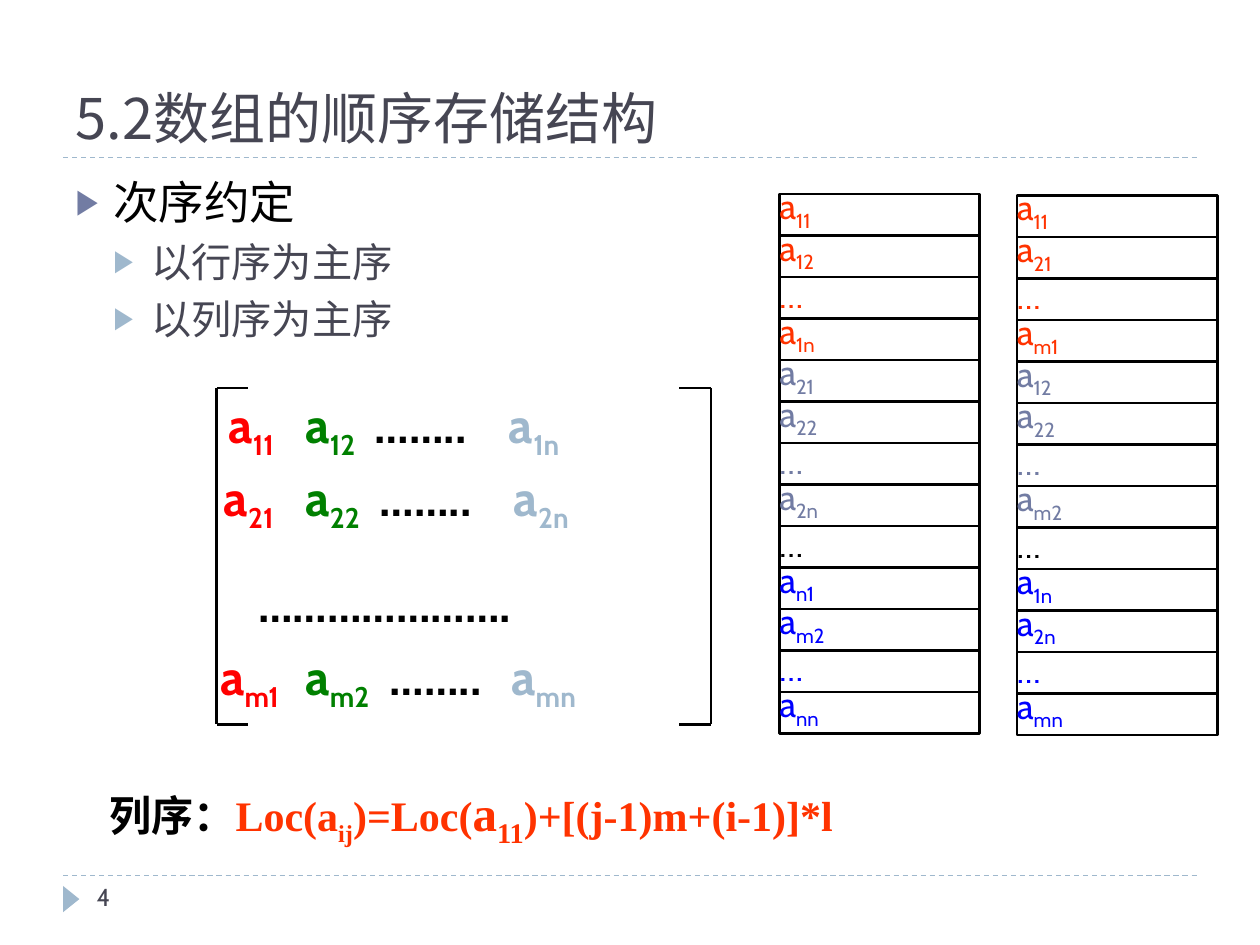
"""Build the slide on sequential storage of arrays."""
from dataclasses import dataclass
from typing import NamedTuple, Optional

from lxml import etree
from pptx import Presentation
from pptx.dml.color import RGBColor
from pptx.enum import dml, shapes, text
from pptx.oxml.ns import qn
from pptx.util import Cm, Pt


@dataclass(frozen=True)
class Theme:
    latin: str = "Cabin"
    chinese: str = "Noto Sans CJK SC"
    heading: str = "Noto Sans CJK JP"
    formula: str = "Times New Roman"
    black: str = "000000"
    white: str = "FFFFFF"
    slate: str = "464653"
    violet: str = "727CA3"
    pale: str = "9FB8CD"
    red: str = "FF0000"
    green: str = "008000"
    orange: str = "FF3300"
    blue: str = "0000FF"
    title_size: float = 32
    topic_size: float = 26
    item_size: float = 23
    matrix_size: float = 28
    formula_size: float = 24
    cell_size: float = 20
    number_size: float = 14


class Span(NamedTuple):
    text: str
    color: Optional[str] = None
    sub: bool = False
    size: Optional[float] = None
    font: Optional[str] = None


class Bullet(NamedTuple):
    text: str
    level: int
    size: float
    color: str
    marker: str
    before: float


class MatrixRow(NamedTuple):
    top: float
    stops: tuple
    spans: list


class Block(NamedTuple):
    color: str
    labels: tuple


class Column(NamedTuple):
    left: float
    top: float
    blocks: tuple


THEME = Theme()
DOTS = "…"


def rgb(color: str) -> RGBColor:
    """Turn a hex colour into an RGBColor."""
    return RGBColor.from_string(color)


def style(font, size: float, color: str, name: str = THEME.latin, bold: bool = False) -> None:
    """Set the common features of a font."""
    font.size, font.name, font.bold = Pt(size), name, bold
    font.color.rgb = rgb(color)


def set_east_asian(span, name: str) -> None:
    """Name the East Asian typeface of a run."""
    properties = span._r.get_or_add_rPr()
    etree.SubElement(properties, qn("a:ea"), typeface=name)


def write_spans(para, spans: list) -> None:
    """Add runs, some lowered as subscripts."""
    for item in spans:
        span = para.add_run()
        span.text = item.text
        if item.color:
            span.font.color.rgb = rgb(item.color)
        if item.size:
            span.font.size = Pt(item.size)
        if item.font:
            span.font.name = item.font
        if item.sub:
            span._r.get_or_add_rPr().set("baseline", "-25000")


def add_line(page, start: tuple, end: tuple, color: str, width: float, dashed: bool = False) -> None:
    """Draw a straight line without a shadow."""
    line = page.shapes.add_connector(
        shapes.MSO_CONNECTOR.STRAIGHT, *(Cm(value) for value in start + end))
    line.line.color.rgb, line.line.width = rgb(color), Pt(width)
    if dashed:
        line.line.dash_style = dml.MSO_LINE.DASH
    etree.SubElement(line._element.spPr, qn("a:effectLst"))


def add_text(page, left: float, top: float, width: float, height: float):
    """Add a wrapping text box and return its paragraph."""
    box = page.shapes.add_textbox(Cm(left), Cm(top), Cm(width), Cm(height))
    box.text_frame.word_wrap = True
    return box.text_frame.paragraphs[0]


def place(box, left: float, top: float, width: float, height: float) -> None:
    """Move a placeholder and keep its text at full size."""
    box.left, box.top, box.width, box.height = Cm(left), Cm(top), Cm(width), Cm(height)
    box.text_frame.auto_size = text.MSO_AUTO_SIZE.NONE


def fill_title(box, words: str) -> None:
    """Write the title at the foot of its placeholder."""
    place(box, 1.27, 0.43, 22.86, 2.74)
    box.text_frame.vertical_anchor = text.MSO_ANCHOR.BOTTOM
    para = box.text_frame.paragraphs[0]
    para.alignment = text.PP_ALIGN.LEFT
    span = para.add_run()
    span.text = words
    style(para.font, THEME.title_size, THEME.slate, THEME.chinese)
    set_east_asian(span, THEME.chinese)


def fill_body(box, bullets: list) -> None:
    """Write the bulleted list."""
    place(box, 1.27, 3.38, 22.86, 13.72)
    frame = box.text_frame
    for index, bullet in enumerate(bullets):
        para = frame.add_paragraph() if index else frame.paragraphs[0]
        para.level, para.space_before = bullet.level, Pt(bullet.before)
        properties = para._p.get_or_add_pPr()
        properties.set("marL", str(Cm(0.76 * (bullet.level + 1))))
        properties.set("indent", str(Cm(-0.76)))
        color = etree.SubElement(properties, qn("a:buClr"))
        etree.SubElement(color, qn("a:srgbClr"), val=bullet.marker)
        etree.SubElement(properties, qn("a:buSzPct"), val="76000")
        etree.SubElement(properties, qn("a:buChar"), char="▶")
        span = para.add_run()
        span.text = bullet.text
        style(para.font, bullet.size, bullet.color)
        set_east_asian(span, THEME.chinese)


def add_matrix_row(page, row: MatrixRow) -> None:
    """Write one matrix row with entries on tab stops."""
    para = add_text(page, 2.06, row.top, 12.7, 1.6)
    tabs = etree.SubElement(para._p.get_or_add_pPr(), qn("a:tabLst"))
    for stop in row.stops:
        etree.SubElement(tabs, qn("a:tab"), pos=str(Cm(stop)), algn="l")
    style(para.font, THEME.matrix_size, THEME.black, bold=True)
    write_spans(para, row.spans)


def matrix_entries(row: str) -> list:
    """List the runs of a matrix row from its row index."""
    return [Span("\ta", THEME.red), Span(row + "1", THEME.red, True),
            Span("\ta", THEME.green), Span(row + "2", THEME.green, True),
            Span("\t……..", THEME.black),
            Span("\ta", THEME.pale), Span(row + "n", THEME.pale, True)]


def add_bracket(page, side: float, tip: float) -> None:
    """Draw one square bracket of the matrix."""
    top, bottom = 7.82, 14.6
    add_line(page, (side, top), (side, bottom), THEME.black, 1.5)
    for level in (top, bottom):
        add_line(page, (side, level), (tip, level), THEME.black, 1.5)


def add_column(page, column: Column) -> None:
    """Stack the memory cells of one storage order."""
    cells = [(label, block.color) for block in column.blocks for label in block.labels]
    pitch = 10.04 / (len(cells) - 1)
    for index, (label, color) in enumerate(cells):
        box = page.shapes.add_shape(
            shapes.MSO_SHAPE.RECTANGLE, Cm(column.left), Cm(column.top + index * pitch),
            Cm(4.04), Cm(pitch))
        box.shadow.inherit = False
        box.fill.solid()
        box.fill.fore_color.rgb = rgb(THEME.white)
        box.line.color.rgb, box.line.width = rgb(THEME.black), Pt(1.5)
        frame = box.text_frame
        frame.margin_left = frame.margin_right = frame.margin_top = frame.margin_bottom = 0
        frame.vertical_anchor = text.MSO_ANCHOR.MIDDLE
        para = frame.paragraphs[0]
        para.alignment, para.line_spacing = text.PP_ALIGN.LEFT, Pt(20)
        style(para.font, THEME.cell_size, color)
        write_spans(para, [Span(DOTS, color)] if label == DOTS
                    else [Span("a", color), Span(label, color, True)])


def add_footer(page) -> None:
    """Draw the rules, the marker and the page number."""
    for level in (17.65, 3.18):
        add_line(page, (1.27, level), (24.13, level), THEME.pale, 0.75, True)
    marker = page.shapes.add_shape(
        shapes.MSO_SHAPE.ISOSCELES_TRIANGLE, Cm(1.17), Cm(17.96), Cm(0.53), Cm(0.33))
    marker.rotation, marker.shadow.inherit = 90, False
    marker.fill.solid()
    marker.fill.fore_color.rgb = rgb(THEME.pale)
    marker.line.fill.background()
    para = add_text(page, 1.7, 17.65, 5.51, 1.02)
    style(para.font, THEME.number_size, THEME.slate)
    write_spans(para, [Span("4")])


def add_formula(page) -> None:
    """Write the address formula for column order."""
    para = add_text(page, 1.96, 15.65, 16.97, 1.6)
    style(para.font, THEME.formula_size, THEME.black, bold=True)
    large = THEME.matrix_size
    parts = [("Loc(a", False, None), ("ij", True, None), (")=Loc(", False, None),
             ("a", False, large), ("11", True, large), (")+[(j-1)m+(i-1)]*l", False, None)]
    write_spans(para, [Span("列序", font=THEME.heading), Span("：")] + [
        Span(words, THEME.orange, sub, size, THEME.formula) for words, sub, size in parts])
    set_east_asian(para.runs[0], THEME.heading)


def main() -> None:
    """Assemble and save the deck."""
    deck = Presentation()
    deck.slide_width, deck.slide_height = Cm(25.4), Cm(19.05)
    page = deck.slides.add_slide(deck.slide_layouts[1])
    add_footer(page)
    fill_title(page.shapes.title, "5.2数组的顺序存储结构")
    fill_body(page.placeholders[1], [
        Bullet("次序约定", 0, THEME.topic_size, THEME.black, THEME.violet, 6),
        Bullet("以行序为主序", 1, THEME.item_size, THEME.slate, THEME.pale, 5),
        Bullet("以列序为主序", 1, THEME.item_size, THEME.slate, THEME.pale, 5)])
    for row in (MatrixRow(7.82, (2.3, 3.85, 5.25, 7.95), matrix_entries("1")),
                MatrixRow(9.3, (2.2, 3.85, 5.35, 8.05), matrix_entries("2")),
                MatrixRow(11.43, (2.9,), [Span("\t" + "…" * 6 + "….", THEME.black)]),
                MatrixRow(12.9, (2.13, 3.85, 5.55, 8.0), matrix_entries("m"))):
        add_matrix_row(page, row)
    add_bracket(page, 4.37, 5.0)
    add_bracket(page, 14.33, 13.69)
    add_formula(page)
    colors = (THEME.orange, THEME.violet, THEME.black, THEME.blue)
    by_row = (("11", "12", DOTS, "1n"), ("21", "22", DOTS, "2n"), (DOTS,), ("n1", "m2", DOTS, "nn"))
    by_column = (("11", "21", DOTS, "m1"), ("12", "22", DOTS, "m2"), (DOTS,), ("1n", "2n", DOTS, "mn"))
    for left, top, order in ((15.71, 3.91, by_row), (20.5, 3.94, by_column)):
        add_column(page, Column(left, top, tuple(map(Block, colors, order))))
    deck.save("out.pptx")


if __name__ == "__main__":
    main()
